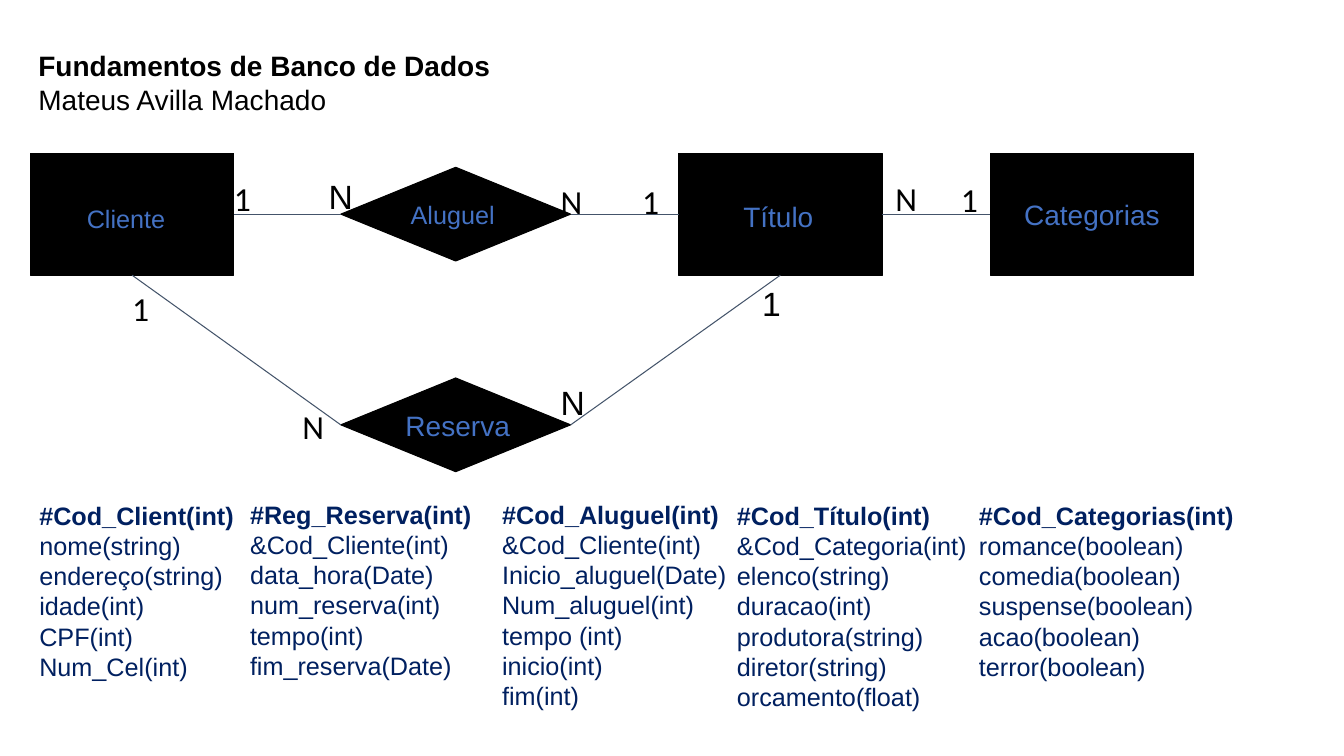
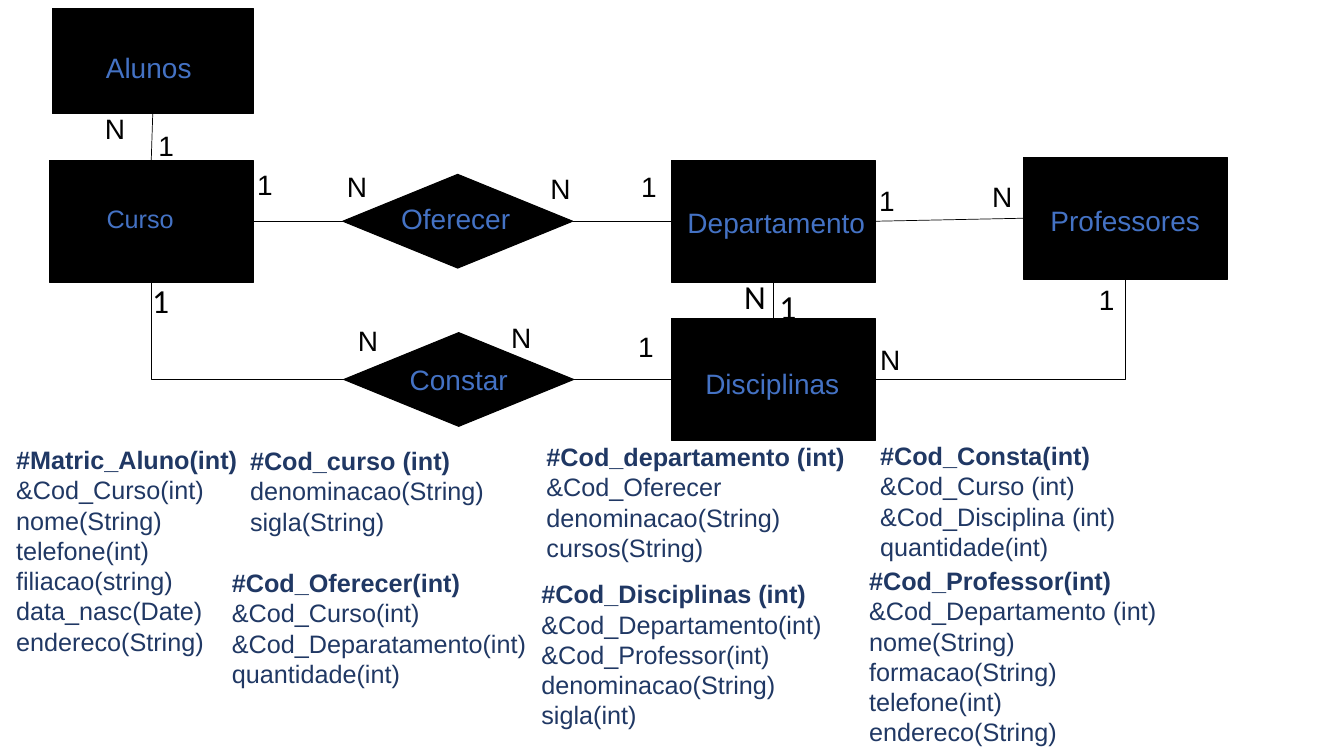
from lxml.etree import SubElement
from pptx import Presentation
from pptx.dml.color import RGBColor
from pptx.enum.shapes import MSO_CONNECTOR, MSO_SHAPE
from pptx.enum.text import MSO_ANCHOR, MSO_AUTO_SIZE, PP_ALIGN
from pptx.oxml.ns import qn
from pptx.util import Inches, Pt

COLORS = {
    "black": "000000",
    "label": "4472C4",
    "slate": "44546A",
    "navy": "002060",
    "blue": "203864",
}
TOP, LEFT, BOTTOM, RIGHT = range(4)
KINDS = {
    "entity": (MSO_SHAPE.RECTANGLE, 2.02, 1.21),
    "small": (MSO_SHAPE.RECTANGLE, 1.99, 1.05),
    "relation": (MSO_SHAPE.DIAMOND, 2.28, 0.93),
}
SANS = {"name": "Arial", "size": 20}
LARGE = {"name": "Arial", "size": 24}
HUMAN = {"name": "Calibri", "size": 24}

RENTAL = {
    "nodes": [
        ("Título", "entity", 6.73, 1.52, 20, -0.02, 0.02),
        ("Aluguel", "relation", 3.38, 1.66, 18, -0.03, 0),
        ("Reserva", "relation", 3.38, 3.75, 20, 0.02, 0),
        ("Cliente", "entity", 0.3, 1.52, 18, -0.06, 0.04),
        ("Categorias", "entity", 9.82, 1.52, 20, 0, 0),
    ],
    "links": [
        ("Cliente", RIGHT, "Aluguel", LEFT),
        ("Aluguel", RIGHT, "Título", LEFT),
        ("Título", RIGHT, "Categorias", LEFT),
        ("Cliente", BOTTOM, "Reserva", LEFT),
        ("Reserva", RIGHT, "Título", BOTTOM),
    ],
    "line": ("slate", 0.75),
    "labels": [
        ("1", 1.31, 2.86, HUMAN),
        ("N", 3.0, 4.03, HUMAN),
        ("1", 2.32, 1.77, HUMAN),
        ("N", 3.26, 1.75, LARGE),
        ("N", 5.56, 1.79, HUMAN),
        ("N", 5.56, 3.79, LARGE),
        ("1", 6.37, 1.79, HUMAN),
        ("1", 7.56, 2.81, LARGE),
        ("N", 8.88, 1.77, HUMAN),
        ("1", 9.53, 1.78, HUMAN),
    ],
    "ink": "navy",
    "fields": [
        (0.39, 4.96, ["#Cod_Client(int)", "nome(string)", "endereço(string)",
                      "idade(int)", "CPF(int)", "Num_Cel(int)"]),
        (2.48, 4.95, ["#Reg_Reserva(int)", "&Cod_Cliente(int)",
                      "data_hora(Date)", "num_reserva(int)", "tempo(int)",
                      "fim_reserva(Date)"]),
        (4.98, 4.95, ["#Cod_Aluguel(int)", "&Cod_Cliente(int)",
                      "Inicio_aluguel(Date)", "Num_aluguel(int)",
                      "tempo (int)", "inicio(int)", "fim(int)"]),
        (7.31, 4.96, ["#Cod_Título(int)", "&Cod_Categoria(int)",
                      "elenco(string)", "duracao(int)", "produtora(string)",
                      "diretor(string)", "orcamento(float)"]),
        (9.71, 4.96, ["#Cod_Categorias(int)", "romance(boolean)",
                      "comedia(boolean)", "suspense(boolean)",
                      "acao(boolean)", "terror(boolean)"]),
    ],
}

SCHOOL = {
    "nodes": [
        ("Disciplinas", "entity", 6.66, 3.16, 20, -0.01, 0.04),
        ("Oferecer", "relation", 3.4, 1.73, 20, -0.02, -0.03),
        ("Constar", "relation", 3.41, 3.3, 20, 0, 0),
        ("Professores", "entity", 10.15, 1.56, 20, 0, 0.02),
        ("Departamento", "entity", 6.66, 1.59, 20, 0.03, 0.01),
        ("Curso", "entity", 0.49, 1.59, 18, -0.11, -0.03),
        ("Alunos", "small", 0.52, 0.08, 20, -0.04, 0.06),
    ],
    "links": [
        ("Alunos", BOTTOM, "Curso", TOP),
        ("Curso", RIGHT, "Oferecer", LEFT),
        ("Oferecer", RIGHT, "Departamento", LEFT),
        ("Departamento", RIGHT, "Professores", LEFT),
        ("Disciplinas", TOP, "Departamento", BOTTOM),
        ("Constar", RIGHT, "Disciplinas", LEFT),
    ],
    "bends": [
        ("Constar", LEFT, "Curso", BOTTOM),
        ("Disciplinas", RIGHT, "Professores", BOTTOM),
    ],
    "line": ("black", 0.5),
    "labels": [
        ("N", 3.55, 3.21, SANS),
        ("N", 7.38, 2.74, HUMAN),
        ("1", 10.9, 2.8, SANS),
        ("N", 8.73, 3.4, SANS),
        ("1", 6.33, 3.27, SANS),
        ("1", 1.57, 1.27, SANS),
        ("1", 1.51, 2.78, HUMAN),
        ("N", 1.04, 1.11, SANS),
        ("N", 3.44, 1.68, SANS),
        ("N", 5.46, 1.7, SANS),
        ("N", 5.07, 3.18, SANS),
        ("1", 2.55, 1.66, SANS),
        ("1", 6.36, 1.68, SANS),
        ("1", 8.72, 1.82, SANS),
        ("1", 7.73, 2.84, HUMAN),
        ("N", 9.84, 1.78, SANS),
    ],
    "ink": "blue",
    "fields": [
        (0.16, 4.41, ["#Matric_Aluno(int)", "&Cod_Curso(int)",
                      "nome(String)", "telefone(int)", "filiacao(string)",
                      "data_nasc(Date)", "endereco(String)"]),
        (2.48, 4.42, ["#Cod_curso (int)", "denominacao(String)",
                      "sigla(String)"]),
        (2.3, 5.63, ["#Cod_Oferecer(int)", "&Cod_Curso(int)",
                     "&Cod_Deparatamento(int)", "quantidade(int)"]),
        (5.42, 4.38, ["#Cod_departamento (int)", "&Cod_Oferecer",
                      "denominacao(String)", "cursos(String)"]),
        (5.37, 5.74, ["#Cod_Disciplinas (int)", "&Cod_Departamento(int)",
                      "&Cod_Professor(int)", "denominacao(String)",
                      "sigla(int)"]),
        (8.73, 4.37, ["#Cod_Consta(int)", "&Cod_Curso (int)",
                      "&Cod_Disciplina (int)", "quantidade(int)"]),
        (8.62, 5.61, ["#Cod_Professor(int)", "&Cod_Departamento (int)",
                      "nome(String)", "formacao(String)", "telefone(int)",
                      "endereco(String)"]),
    ],
}


def rgb(name):
    return RGBColor.from_string(COLORS[name])


def write(tf, lines, color, fmt, align=PP_ALIGN.LEFT, lead_bold=False,
          anchor=MSO_ANCHOR.TOP, margins=(0, 0, 0, 0)):
    frame = dict(zip(("margin_left", "margin_top", "margin_right",
                      "margin_bottom"), map(Inches, margins)))
    frame.update(word_wrap=True, auto_size=MSO_AUTO_SIZE.NONE,
                 vertical_anchor=anchor)
    for key, value in frame.items():
        setattr(tf, key, value)
    for i, line in enumerate(lines):
        p = tf.add_paragraph() if i else tf.paragraphs[0]
        p.alignment = align
        r = p.add_run()
        r.text = line
        look = {"name": fmt["name"], "size": Pt(fmt["size"]),
                "bold": lead_bold and i == 0}
        for key, value in look.items():
            setattr(r.font, key, value)
        r.font.color.rgb = rgb(color)


def add_text(s, x, y, w, h, lines, color, fmt, **options):
    box = s.shapes.add_textbox(*map(Inches, (x, y, w, h)))
    write(box.text_frame, lines, color, fmt, **options)


def add_node(s, name, kind, x, y, size, dx, dy):
    preset, w, h = KINDS[kind]
    sp = s.shapes.add_shape(preset, *map(Inches, (x, y, w, h)))
    sp.shadow.inherit = False
    sp.fill.solid()
    sp.fill.fore_color.rgb = rgb("black")
    sp.line.color.rgb = rgb("black")
    sp.line.width = Pt(0.75)
    margins = [max(2 * d, 0) for d in (dx, dy, -dx, -dy)]
    write(sp.text_frame, [name], "label", {"name": "Arial", "size": size},
          align=PP_ALIGN.CENTER, anchor=MSO_ANCHOR.MIDDLE, margins=margins)
    return sp


def add_link(s, start, start_side, end, end_side, color, width, bent=False):
    kind = MSO_CONNECTOR.ELBOW if bent else MSO_CONNECTOR.STRAIGHT
    link = s.shapes.add_connector(kind, 0, 0, 0, 0)
    link.begin_connect(start, start_side)
    link.end_connect(end, end_side)
    link.line.color.rgb = rgb(color)
    link.line.width = Pt(width)
    props = link.element.spPr
    SubElement(props, qn("a:effectLst"))
    if bent:
        props.find(qn("a:prstGeom")).set("prst", "bentConnector2")


def add_title(s, lines):
    title = s.shapes.title
    frame = {"left": 0.38, "top": 0.48, "width": 4.9, "height": 0.7}
    for key, value in frame.items():
        setattr(title, key, Inches(value))
    write(title.text_frame, lines, "black", SANS, lead_bold=True)


def add_diagram(s, model):
    nodes = {node[0]: add_node(s, *node) for node in model["nodes"]}
    for key in ("links", "bends"):
        for start, start_side, end, end_side in model.get(key, []):
            add_link(s, nodes[start], start_side, nodes[end], end_side,
                     *model["line"], bent=key == "bends")
    for text, x, y, fmt in model["labels"]:
        add_text(s, x, y, 0.4, 0.4, [text], "black", fmt)
    for x, y, lines in model["fields"]:
        add_text(s, x, y, 3.2, 0.3 * len(lines), lines, model["ink"],
                 {"name": "Arial", "size": 18}, lead_bold=True)


def main():
    prs = Presentation()
    prs.slide_width, prs.slide_height = Inches(13.33), Inches(7.5)
    title_only, blank = prs.slide_layouts[5], prs.slide_layouts[6]
    s = prs.slides.add_slide(title_only)
    add_title(s, ["Fundamentos de Banco de Dados", "Mateus Avilla Machado"])
    add_diagram(s, RENTAL)
    add_diagram(prs.slides.add_slide(blank), SCHOOL)
    prs.save("out.pptx")


if __name__ == "__main__":
    main()
